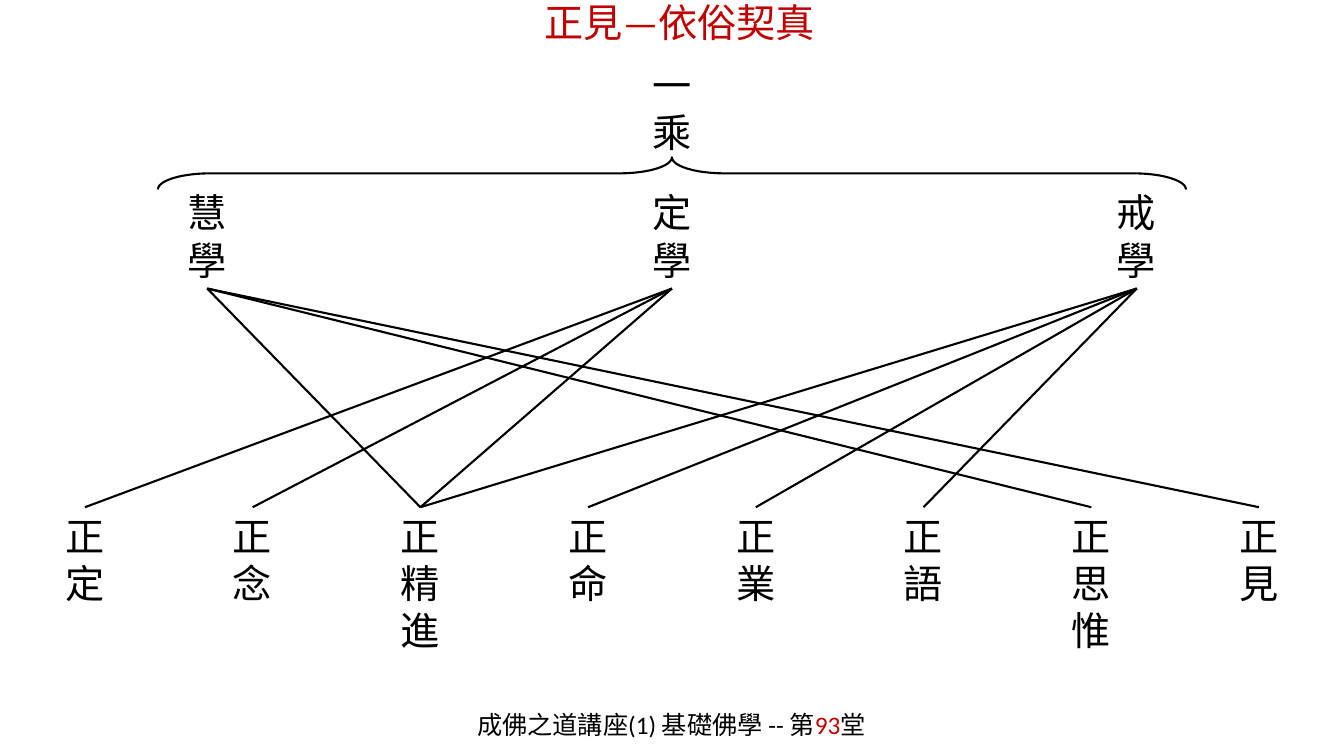
from dataclasses import dataclass

from lxml import etree
from pptx import Presentation
from pptx.dml.color import RGBColor
from pptx.enum import shapes, text
from pptx.oxml import ns
from pptx.util import Pt


@dataclass(frozen=True)
class Theme:
    ink: str = "000000"
    accent: str = "C00000"
    latin: str = "Calibri"
    chinese: str = "Noto Sans CJK SC"
    large: float = 28
    small: float = 18
    line: float = 1.5


THEME = Theme()

# Layout, in points
MIDDLE = 480
NODE_WIDTH = 42.5
CHARACTER_HEIGHT = 33.7
NODE_PADDING = 7.4
ROOT_TOP, TRAINING_TOP, PATH_TOP = 40.3, 131.3, 362.3
TRAINING_STEP, PATH_STEP = 332, 119.8

# The three trainings and the path factors that belong to each
TRAININGS = {
    "慧學": ["正見", "正思惟", "正精進"],
    "定學": ["正定", "正念", "正精進"],
    "戒學": ["正精進", "正命", "正業", "正語"],
}
PATHS = ["正定", "正念", "正精進", "正命", "正業", "正語", "正思惟", "正見"]


def add_shadow(span):
    """Give a run a soft shadow below it."""
    effects = etree.SubElement(span.font._element, ns.qn("a:effectLst"))
    shadow = etree.SubElement(effects, ns.qn("a:outerShdw"), blurRad="38100",
                              dist="38100", dir="2700000", algn="tl")
    color = etree.SubElement(shadow, ns.qn("a:srgbClr"), val=THEME.ink)
    etree.SubElement(color, ns.qn("a:alpha"), val="43000")


def add_span(para, words, *, size, font, color=THEME.ink, shadow=False):
    span = para.add_run()
    span.text = words
    span.font.size = Pt(size)
    span.font.color.rgb = RGBColor.from_string(color)
    if shadow:
        add_shadow(span)
    span.font.name = font
    latin = span.font._element.find(ns.qn("a:latin"))
    latin.addnext(etree.Element(ns.qn("a:ea"), typeface=font))


def add_box(parent, left, top, width, height, *, wrap=False, middle=False):
    box = parent.shapes.add_textbox(Pt(left), Pt(top), Pt(width), Pt(height))
    frame = box.text_frame
    frame.word_wrap = wrap
    if middle:
        frame.vertical_anchor = text.MSO_ANCHOR.MIDDLE
        frame.paragraphs[0].alignment = text.PP_ALIGN.CENTER
    return box


def add_node(parent, words, center, top):
    """Write words downwards, one character to a paragraph."""
    height = CHARACTER_HEIGHT * len(words) + NODE_PADDING
    box = add_box(parent, center - NODE_WIDTH / 2, top, NODE_WIDTH, height)
    frame = box.text_frame
    frame.auto_size = text.MSO_AUTO_SIZE.SHAPE_TO_FIT_TEXT
    for index, character in enumerate(words):
        para = frame.add_paragraph() if index else frame.paragraphs[0]
        add_span(para, character, size=THEME.large, font=THEME.chinese)
    return box


def add_row(page, names, top, step):
    """Space nodes evenly about the middle of the page."""
    group = page.shapes.add_group_shape()
    first = MIDDLE - step * (len(names) - 1) / 2
    return {name: add_node(group, name, first + step * index, top)
            for index, name in enumerate(names)}


def style_line(line):
    line.color.rgb = RGBColor.from_string(THEME.ink)
    line.width = Pt(THEME.line)


def add_link(page, upper, lower):
    link = page.shapes.add_connector(shapes.MSO_CONNECTOR.STRAIGHT, 0, 0, 0, 0)
    link.begin_connect(upper, 2)
    link.end_connect(lower, 0)
    style_line(link.line)
    etree.SubElement(link._element.spPr, ns.qn("a:effectLst"))


def add_brace(page, left, top, width, height):
    brace = page.shapes.add_shape(shapes.MSO_SHAPE.RIGHT_BRACE,
                                  Pt(left), Pt(top), Pt(width), Pt(height))
    brace.rotation = 270
    brace.adjustments[0] = 1.64
    brace.adjustments[1] = 0.5
    brace.shadow.inherit = False
    brace.fill.background()
    style_line(brace.line)


def add_title(page):
    box = add_box(page, 25.2, -7.9, 908.6, 61.2, middle=True)
    para = box.text_frame.paragraphs[0]
    para.line_spacing = Pt(20)
    para._p.get_or_add_pPr().set("indent", str(Pt(12.2)))
    add_span(para, "正見—依俗契真", size=THEME.large, font=THEME.latin,
             color=THEME.accent, shadow=True)


def add_footer(page):
    box = add_box(page, 332.6, 501.8, 293.8, 31.7, wrap=True, middle=True)
    para = box.text_frame.paragraphs[0]
    for words, color in [("成佛之道講座(1) 基礎佛學 -- 第", THEME.ink),
                         ("93", THEME.accent), ("堂", THEME.ink)]:
        add_span(para, words, size=THEME.small, font=THEME.latin,
                 color=color, shadow=True)


def main():
    deck = Presentation()
    deck.slide_width, deck.slide_height = Pt(960), Pt(540)
    page = deck.slides.add_slide(deck.slide_layouts[6])

    # Title and footer
    add_footer(page)
    add_title(page)

    # Root, trainings and path factors
    add_node(page, "一乘", MIDDLE, ROOT_TOP)
    trainings = add_row(page, TRAININGS, TRAINING_TOP, TRAINING_STEP)
    paths = add_row(page, PATHS, PATH_TOP, PATH_STEP)
    add_brace(page, 468.5, -243.4, 23, 734.4)

    # Links from each training to its factors
    for training, factors in TRAININGS.items():
        for factor in factors:
            add_link(page, trainings[training], paths[factor])

    deck.save("out.pptx")


if __name__ == "__main__":
    main()
